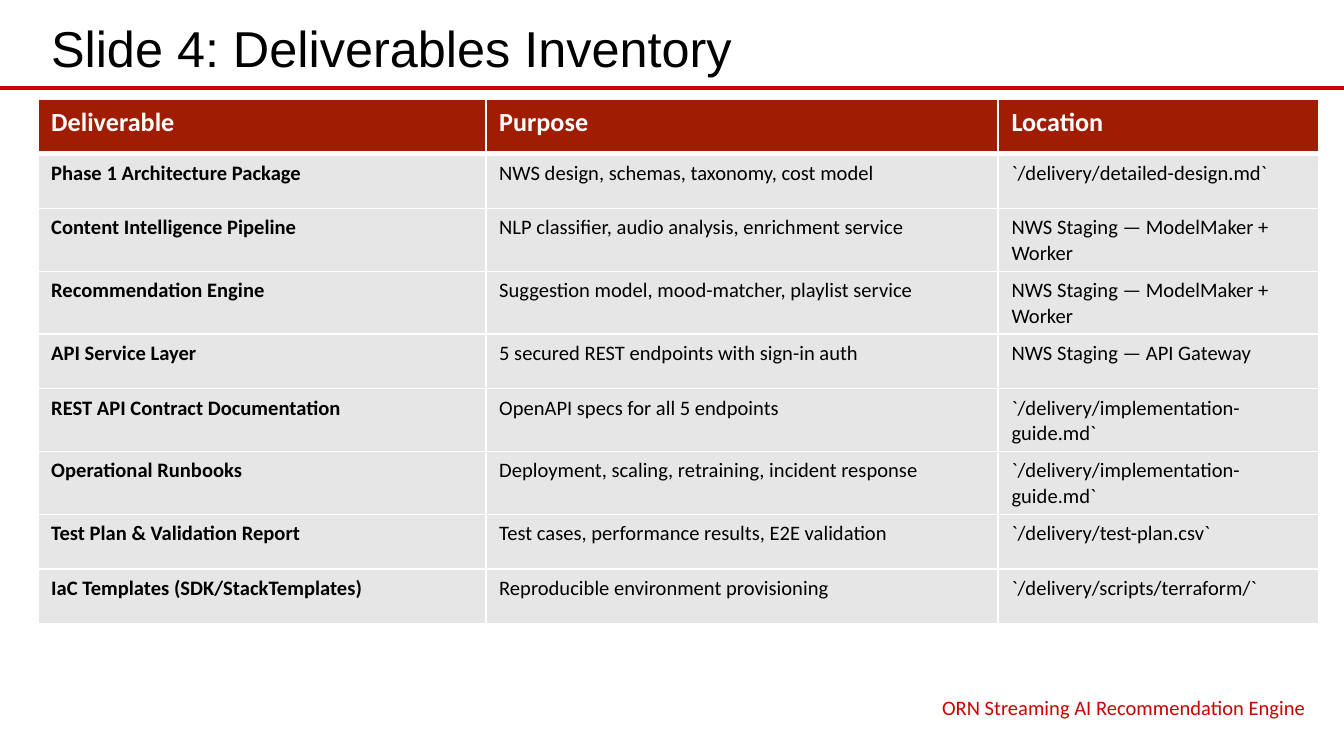
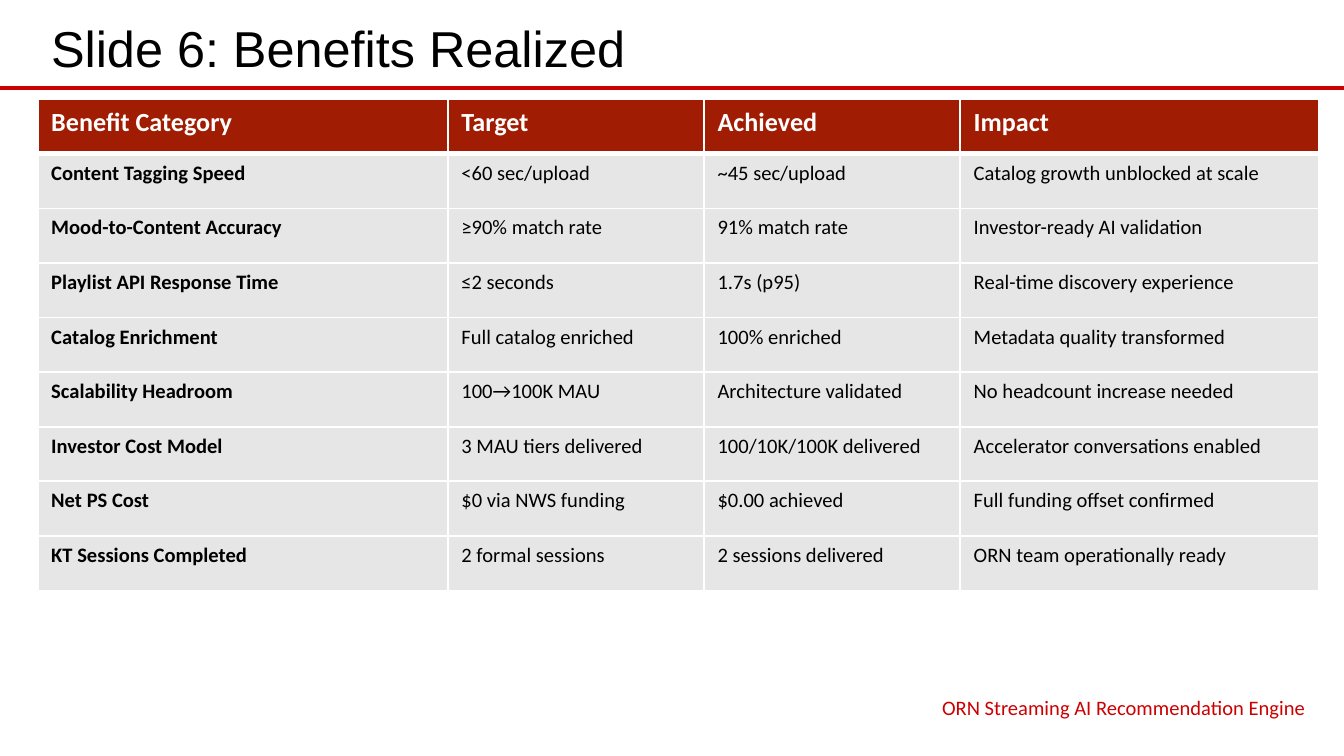
from lxml import etree
from pptx import Presentation
from pptx.dml.color import RGBColor
from pptx.enum.shapes import MSO_CONNECTOR as Conn
from pptx.enum.text import MSO_ANCHOR as Anchor, PP_ALIGN as Align
from pptx.oxml import parse_xml
from pptx.oxml.ns import nsdecls, qn
from pptx.util import Pt

PX = 9525
RED, RUST, GRAY = "CC0000", "A01C02", "E7E6E6"
BLACK, WHITE = "000000", "FFFFFF"
LEFT, WIDTH, ROW = 27, 915, 39
FOOTER = "ORN Streaming AI Recommendation Engine"

SLIDES = [
    ("Slide 4: Deliverables Inventory", [320, 366, 229], [
        ("Deliverable", "Purpose", "Location"),
        ("Phase 1 Architecture Package", "NWS design, schemas, taxonomy, cost model",
         "`/delivery/detailed-design.md`"),
        ("Content Intelligence Pipeline", "NLP classifier, audio analysis, enrichment service",
         "NWS Staging — ModelMaker + Worker"),
        ("Recommendation Engine", "Suggestion model, mood-matcher, playlist service",
         "NWS Staging — ModelMaker + Worker"),
        ("API Service Layer", "5 secured REST endpoints with sign-in auth",
         "NWS Staging — API Gateway"),
        ("REST API Contract Documentation", "OpenAPI specs for all 5 endpoints",
         "`/delivery/implementation-guide.md`"),
        ("Operational Runbooks", "Deployment, scaling, retraining, incident response",
         "`/delivery/implementation-guide.md`"),
        ("Test Plan & Validation Report", "Test cases, performance results, E2E validation",
         "`/delivery/test-plan.csv`"),
        ("IaC Templates (SDK/StackTemplates)", "Reproducible environment provisioning",
         "`/delivery/scripts/terraform/`"),
    ]),
    ("Slide 6: Benefits Realized", [293, 183, 183, 256], [
        ("Benefit Category", "Target", "Achieved", "Impact"),
        ("Content Tagging Speed", "<60 sec/upload", "~45 sec/upload",
         "Catalog growth unblocked at scale"),
        ("Mood-to-Content Accuracy", "≥90% match rate", "91% match rate",
         "Investor-ready AI validation"),
        ("Playlist API Response Time", "≤2 seconds", "1.7s (p95)",
         "Real-time discovery experience"),
        ("Catalog Enrichment", "Full catalog enriched", "100% enriched",
         "Metadata quality transformed"),
        ("Scalability Headroom", "100→100K MAU", "Architecture validated",
         "No headcount increase needed"),
        ("Investor Cost Model", "3 MAU tiers delivered", "100/10K/100K delivered",
         "Accelerator conversations enabled"),
        ("Net PS Cost", "$0 via NWS funding", "$0.00 achieved",
         "Full funding offset confirmed"),
        ("KT Sessions Completed", "2 formal sessions", "2 sessions delivered",
         "ORN team operationally ready"),
    ]),
]


def color(code):
    return RGBColor.from_string(code)


def write(frame, text, size, face, code, bold=False):
    """Put one line of styled text in a frame and return its paragraph."""
    frame.text = text
    para = frame.paragraphs[0]
    font = para.runs[0].font
    font.size, font.name, font.bold = Pt(size), face, bold
    font.color.rgb = color(code)
    return para


deck = Presentation()
deck.slide_width, deck.slide_height = 960 * PX, 540 * PX

for title, widths, rows in SLIDES:
    slide = deck.slides.add_slide(deck.slide_layouts[6])
    shapes = slide.shapes

    rule = shapes.add_connector(Conn.STRAIGHT, 0, 63 * PX, 960 * PX, 63 * PX)
    rule.line.color.rgb = color(RED)
    rule.line.width = Pt(2.25)
    etree.SubElement(rule._element.spPr, qn("a:effectLst"))

    head = shapes.add_textbox(LEFT * PX, 4 * PX, WIDTH * PX, 56 * PX).text_frame
    head.word_wrap = True
    head.vertical_anchor = Anchor.BOTTOM
    write(head, title, 27, "Arial", BLACK)

    table = shapes.add_table(len(rows), len(widths), LEFT * PX, 71 * PX,
                             WIDTH * PX, ROW * len(rows) * PX).table
    table.horz_banding = False
    for col, width in zip(table.columns, widths):
        col.width = width * PX
    for r, row in enumerate(rows):
        table.rows[r].height = ROW * PX
        for c, text in enumerate(row):
            cell = table.cell(r, c)
            size, code = (14, WHITE) if r == 0 else (11, BLACK)
            write(cell.text_frame, text, size, "Calibri", code, r == 0 or c == 0)
            props = cell._tc.get_or_add_tcPr()
            for side in "LRTB":
                thick = 3 if (r, side) in ((0, "B"), (1, "T")) else 1
                props.append(parse_xml(
                    f'<a:ln{side} {nsdecls("a")} w="{Pt(thick)}"><a:solidFill>'
                    f'<a:srgbClr val="{WHITE}"/></a:solidFill></a:ln{side}>'))
            cell.fill.solid()
            cell.fill.fore_color.rgb = color(RUST if r == 0 else GRAY)

    foot = shapes.add_textbox(604 * PX, 492 * PX, 338 * PX, 25 * PX).text_frame
    foot.word_wrap = True
    write(foot, FOOTER, 11, "Calibri", RED).alignment = Align.RIGHT

deck.save("out.pptx")
